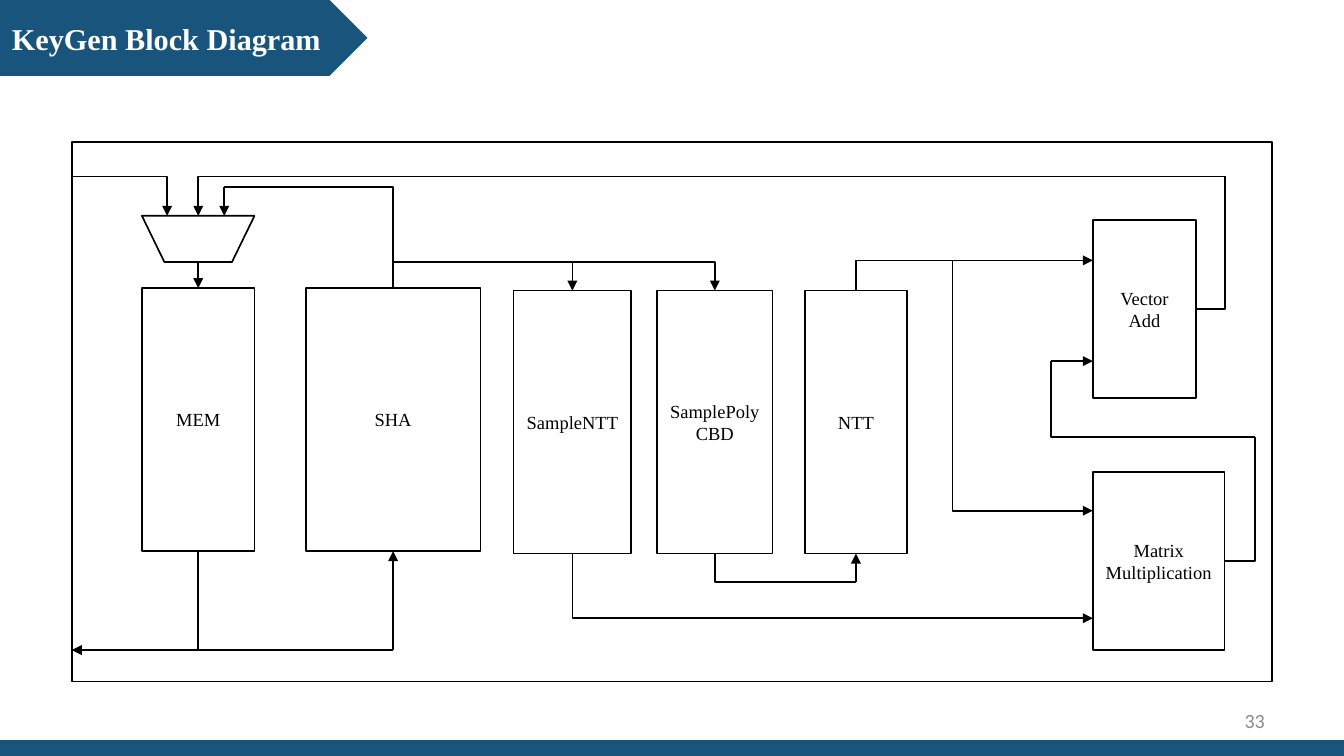
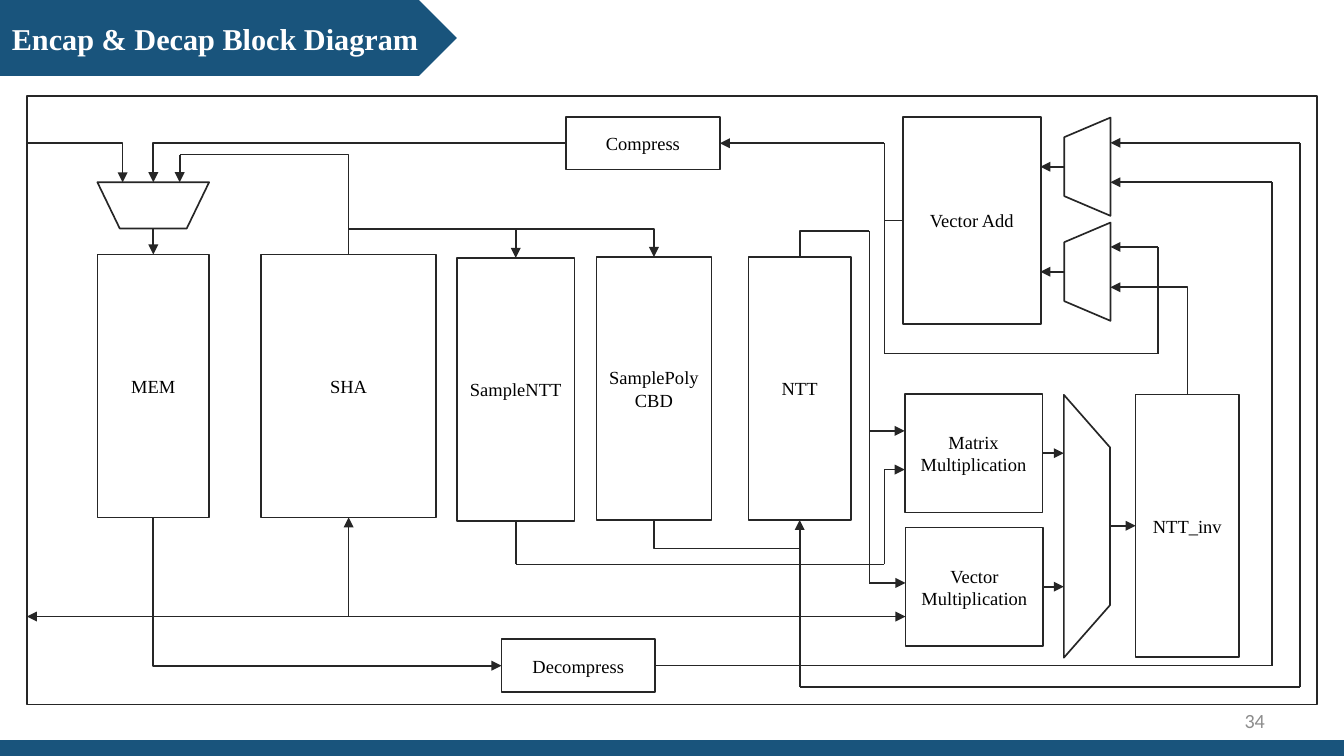
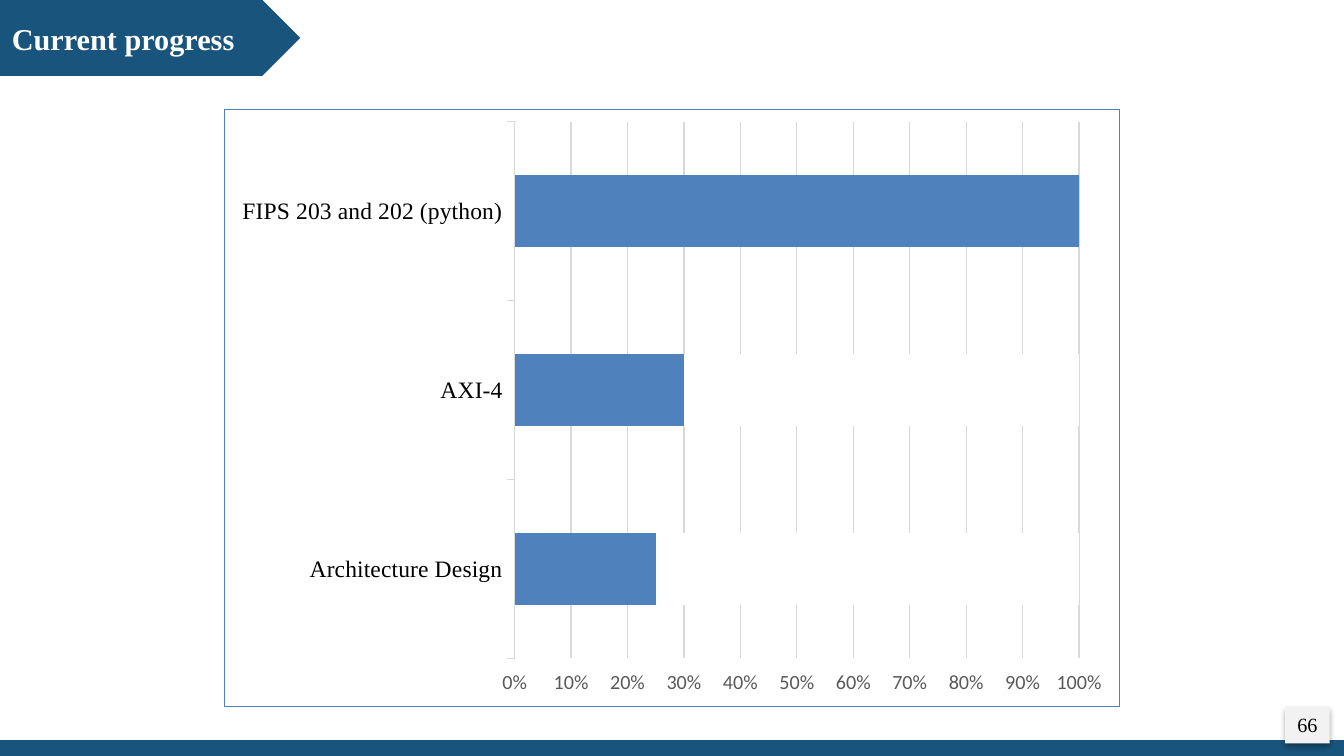
import dataclasses

import lxml.etree
import pptx
import pptx.chart.data
import pptx.dml.color
import pptx.enum.chart
import pptx.enum.shapes
import pptx.enum.text
import pptx.oxml.ns
import pptx.util

Pt = pptx.util.Pt
qn = pptx.oxml.ns.qn
SHAPES = pptx.enum.shapes.MSO_SHAPE
CONNECTORS = pptx.enum.shapes.MSO_CONNECTOR
ALIGN = pptx.enum.text.PP_ALIGN
ANCHOR = pptx.enum.text.MSO_ANCHOR
TOP, LEFT, BOTTOM, RIGHT = range(4)


@dataclasses.dataclass(frozen=True)
class Theme:
    navy: str = "19547C"
    white: str = "FFFFFF"
    black: str = "000000"
    charcoal: str = "262626"
    page_grey: str = "8C8C8C"
    badge: str = "F2F2F2"
    axis_text: str = "595959"
    grid: str = "D9D9D9"
    bar: str = "4F81BD"
    spare: str = "9BBB59"
    serif: str = "Times New Roman"
    sans: str = "Calibri"
    title: int = 18
    category: int = 14
    page: int = 12
    label: int = 11
    chart: int = 10


THEME = Theme()
WIDTH, HEIGHT = 800, 450
BAND_TOP, TITLE_HEIGHT = 440.5, 45.25
TALL = 156.5

KEYGEN = {
    "title": ("KeyGen Block Diagram", 218.75),
    "page": "33",
    "ink": THEME.black,
    "frame": (42.75, 84.5, 714.5, 321.25),
    "blocks": {
        "MEM": (84.5, 171.5, 67, TALL),
        "SHA": (182, 171.5, 104, TALL),
        "SampleNTT": (305.75, 173, 70, TALL),
        "SamplePolyCBD": (391.25, 173, 68.5, TALL),
        "NTT": (479, 173, 61, TALL),
        "Vector Add": (650.5, 131, 61.5, 106),
        "Matrix Multiplication": (650.5, 281, 78.5, 106),
    },
    "muxes": {"memory mux": (84.5, 128.5, 67, 27.5, 0)},
    "bent": [
        ((42.75, 105), "h", [99.5, 128.5], None, True),
        (("memory mux", BOTTOM), "v", [], ("MEM", TOP), True),
        (("MEM", BOTTOM), "v", [387], ("SHA", BOTTOM), True),
        (("MEM", BOTTOM), "v", [387, 42.75], None, True),
        (("SHA", TOP), "v", [111.5, 133.5, 128.5], None, True),
        ((234, 156), "h", [340.75], None, False),
        ((340.75, 156), "h", [], ("SamplePolyCBD", TOP), True),
        ((340.75, 156), "v", [], ("SampleNTT", TOP), True),
        (("SamplePolyCBD", BOTTOM), "v", [346.5], ("NTT", BOTTOM), True),
        (("NTT", TOP), "v", [155, 567], None, False),
        ((567, 155), "h", [650.5], None, True),
        ((567, 155), "v", [304, 650.5], None, True),
        (("SampleNTT", BOTTOM), "v", [368, 650.5], None, True),
        (("Matrix Multiplication", RIGHT), "h", [747, 260, 625.5, 215, 650.5], None, True),
        (("Vector Add", RIGHT), "h", [729, 105], ("memory mux", TOP), True),
    ],
    "straight": [],
}

ENCAP = {
    "title": ("Encap & Decap Block Diagram", 272),
    "page": "34",
    "ink": THEME.charcoal,
    "frame": (16, 57, 768, 362.5),
    "blocks": {
        "MEM": (58, 151.5, 66.5, TALL),
        "SHA": (155.5, 151.5, 104, TALL),
        "SampleNTT": (272, 153.5, 70, TALL),
        "SamplePolyCBD": (355, 153, 68.5, TALL),
        "NTT": (445.5, 153, 61, TALL),
        "Vector Add": (537.5, 69.5, 82, 123.5),
        "Matrix Multiplication": (538.5, 234.5, 82, 70.5),
        "Vector Multiplication": (539, 314, 82, 70.5),
        "NTT_inv": (676, 234.75, 61.5, TALL),
        "Compress": (337, 69.5, 91.5, 31.5),
        "Decompress": (298.5, 380.5, 91.5, 31.5),
    },
    "muxes": {
        "memory mux": (58, 108.5, 66.5, 27.5, 0),
        "first operand": (618, 85.5, 58.5, 27.5, 90),
        "second operand": (618, 148, 58.5, 27.5, 90),
        "product mux": (568.75, 299.5, TALL, 27.5, 270),
    },
    "bent": [
        ((16, 85), "h", [73, 108.5], None, True),
        (("memory mux", BOTTOM), "v", [], ("MEM", TOP), True),
        (("MEM", BOTTOM), "v", [], ("Decompress", LEFT), True),
        (("MEM", BOTTOM), "v", [367], ("SHA", BOTTOM), True),
        (("MEM", BOTTOM), "v", [367, 16], None, True),
        (("SHA", TOP), "v", [92, 107, 108.5], None, True),
        ((207.5, 136.5), "h", [307], None, False),
        ((307, 136.5), "h", [], ("SamplePolyCBD", TOP), True),
        (("SamplePolyCBD", BOTTOM), "v", [326.5], ("NTT", BOTTOM), True),
        (("NTT", TOP), "v", [137.5, 517.5], None, False),
        (("Compress", LEFT), "h", [], ("memory mux", TOP), True),
        (("NTT_inv", TOP), "v", [171, 676], None, False),
    ],
    "straight": [
        ((207.5, 367), "h", [539], None, True),
        ((307, 136.5), "v", [], ("SampleNTT", TOP), True),
        (("SampleNTT", BOTTOM), "v", [336, 526.5, 279.5, 538.5], None, True),
        ((517.5, 137.5), "v", [347, 539], None, True),
        ((517.5, 256.5), "h", [538.5], None, True),
        (("Vector Add", LEFT), "h", [526.5], ("Compress", RIGHT), True),
        ((526.5, 131.25), "v", [210.5, 689.25, 147, 661], None, True),
        (("Matrix Multiplication", RIGHT), "h", [633.25], None, True),
        (("Vector Multiplication", RIGHT), "h", [633.25], None, True),
        ((661, 313), "h", [], ("NTT_inv", LEFT), True),
        ((676, 171), "h", [661], None, True),
        (("Decompress", RIGHT), "h", [757, 108.5, 661], None, True),
        ((476, 326.5), "v", [409, 774, 85, 661], None, True),
        ((633.5, 99.25), "h", [619.25], None, True),
        ((633.5, 161.75), "h", [619.25], None, True),
    ],
}

PROGRESS = {
    "title": ("Current progress", 178.75),
    "page": "66",
    "frame": (133.25, 65, 533.5, 355.75),
    "stages": ["Architecture Design", "AXI-4", "FIPS 203 and 202 (python)"],
    "series": [
        ("Series 1", [25, 30, 100], THEME.bar),
        ("Series 2", [75, 70, 0], THEME.white),
        ("Series 3", [None, None, None], THEME.spare),
    ],
}


def rgb(value):
    return pptx.dml.color.RGBColor.from_string(value)


def style_font(font, size, color, face, bold=False):
    font.size, font.name, font.bold = Pt(size), face, bold
    font.color.rgb = rgb(color)


def put_text(shape, text, size=THEME.label, color=THEME.black, face=THEME.serif,
             bold=False, align=ALIGN.CENTER, anchor=ANCHOR.MIDDLE, wrap=True):
    frame = shape.text_frame
    frame.word_wrap, frame.vertical_anchor = wrap, anchor
    paragraph = frame.paragraphs[0]
    paragraph.alignment = align
    run = paragraph.add_run()
    run.text = text
    style_font(run.font, size, color, face, bold)


def put_shape(slide, kind, box, fill=None, line=None, turn=0):
    shape = slide.shapes.add_shape(kind, *map(Pt, box))
    shape.shadow.inherit = False
    shape.rotation = turn
    if fill:
        shape.fill.solid()
        shape.fill.fore_color.rgb = rgb(fill)
    else:
        shape.fill.background()
    if line:
        shape.line.color.rgb = rgb(line)
        shape.line.width = Pt(1)
    else:
        shape.line.fill.background()
    return shape


def start_slide(deck, content):
    slide = deck.slides.add_slide(deck.slide_layouts[6])
    put_shape(slide, SHAPES.RECTANGLE, (0, BAND_TOP, WIDTH, HEIGHT - BAND_TOP), THEME.navy)
    title, width = content["title"]
    banner = put_shape(slide, SHAPES.PENTAGON, (0, 0, width, TITLE_HEIGHT), THEME.navy)
    put_text(banner, title, size=THEME.title, color=THEME.white, bold=True, align=ALIGN.LEFT)
    return slide


def side_middle(box, side):
    x, y, width, height = box[:4]
    return {
        TOP: (x + width / 2, y),
        LEFT: (x, y + height / 2),
        BOTTOM: (x + width / 2, y + height),
        RIGHT: (x + width, y + height / 2),
    }[side]


def route_points(start, axis, stops, finish):
    points = [start]
    x, y = start
    for stop in stops:
        x, y = (stop, y) if axis == "h" else (x, stop)
        axis = "v" if axis == "h" else "h"
        points.append((x, y))
    if finish:
        corner = (finish[0], y) if axis == "h" else (x, finish[1])
        if max(abs(corner[0] - finish[0]), abs(corner[1] - finish[1])) > 0.5:
            points.append(corner)
        points.append(finish)
    return points


def put_line(slide, kind, start, finish, ink, end=None):
    line = slide.shapes.add_connector(kind, *map(Pt, start + finish))
    line.line.color.rgb = rgb(ink)
    line.line.width = Pt(1)
    properties = line.element.spPr
    if end:
        lxml.etree.SubElement(properties.find(qn("a:ln")), qn(end), type="triangle")
    lxml.etree.SubElement(properties, qn("a:effectLst"))
    return line


def put_corner(slide, start, corner, finish, ink, arrow):
    end = "a:tailEnd" if arrow else None
    if corner[1] != start[1]:
        start, finish = finish, start
        end = "a:headEnd" if arrow else None
    elbow = put_line(slide, CONNECTORS.ELBOW, start, finish, ink, end)
    properties = elbow.element.spPr
    properties.find(qn("a:prstGeom")).set("prst", "bentConnector2")
    if finish[0] < start[0]:
        placing = properties.find(qn("a:xfrm"))
        placing.set("rot", "10800000")
        placing.set("flipH", "0")
        placing.set("flipV", "1" if finish[1] > start[1] else "0")


def put_route(slide, route, boxes, drawn, ink, bent):
    start, axis, stops, finish, arrow = route
    source = start if start[0] in boxes else None
    begin = side_middle(boxes[source[0]], source[1]) if source else start
    target = side_middle(boxes[finish[0]], finish[1]) if finish else None
    points = route_points(begin, axis, stops, target)
    last = len(points) - 1
    index = 0
    while index < last:
        step = 2 if bent and index + 2 <= last else 1
        reached = index + step == last
        if step == 2:
            put_corner(slide, *points[index:index + 3], ink, arrow and reached)
        else:
            line = put_line(slide, CONNECTORS.STRAIGHT, points[index], points[index + 1], ink,
                            "a:tailEnd" if arrow and reached else None)
            if index == 0 and source:
                line.begin_connect(drawn[source[0]], source[1])
            if reached and finish:
                line.end_connect(drawn[finish[0]], finish[1])
        index += step


def diagram_slide(deck, content):
    slide = start_slide(deck, content)
    ink = content["ink"]
    put_shape(slide, SHAPES.RECTANGLE, content["frame"], line=ink)
    drawn = {}
    for label, box in content["blocks"].items():
        drawn[label] = put_shape(slide, SHAPES.RECTANGLE, box, line=ink)
        put_text(drawn[label], label)
    for role, (*box, turn) in content["muxes"].items():
        drawn[role] = put_shape(slide, SHAPES.FLOWCHART_MANUAL_OPERATION, box, line=ink, turn=turn)
    boxes = content["blocks"] | content["muxes"]
    for style in ("bent", "straight"):
        for route in content[style]:
            put_route(slide, route, boxes, drawn, ink, style == "bent")
    page = slide.shapes.add_textbox(*map(Pt, (573, 417, 187, 24)))
    put_text(page, content["page"], size=THEME.page, color=THEME.page_grey,
             face=THEME.sans, align=ALIGN.RIGHT)


def put_badge(slide, number):
    badge = put_shape(slide, SHAPES.RECTANGLE, (765, 420.5, 26.5, 22), THEME.badge)
    put_text(badge, number, size=THEME.page, wrap=False)
    effects = badge.element.spPr.find(qn("a:effectLst"))
    shadow = lxml.etree.SubElement(
        effects, qn("a:outerShdw"), blurRad=str(Pt(3.5)), dist=str(Pt(2.2)),
        dir="5400000", rotWithShape="0")
    tint = lxml.etree.SubElement(shadow, qn("a:srgbClr"), val=THEME.black)
    lxml.etree.SubElement(tint, qn("a:alpha"), val="32000")


def put_border(chart, color):
    area = lxml.etree.Element(qn("c:spPr"))
    lxml.etree.SubElement(area, qn("a:noFill"))
    outline = lxml.etree.SubElement(area, qn("a:ln"), w=str(Pt(0.75)))
    paint = lxml.etree.SubElement(outline, qn("a:solidFill"))
    lxml.etree.SubElement(paint, qn("a:srgbClr"), val=color)
    chart.element.find(qn("c:chart")).addnext(area)


def style_line(line, color):
    line.color.rgb = rgb(color)
    line.width = Pt(0.75)


def progress_slide(deck, content):
    slide = start_slide(deck, content)
    data = pptx.chart.data.CategoryChartData()
    data.categories = content["stages"]
    for name, values, _ in content["series"]:
        data.add_series(name, values)
    chart = slide.shapes.add_chart(
        pptx.enum.chart.XL_CHART_TYPE.BAR_STACKED_100, *map(Pt, content["frame"]), data).chart
    chart.has_title = chart.has_legend = False
    style_font(chart.font, THEME.chart, THEME.black, THEME.sans)
    put_border(chart, THEME.bar)
    bars = chart.plots[0]
    bars.gap_width, bars.overlap, bars.vary_by_categories = 150, 100, False
    for series, (_, _, color) in zip(bars.series, content["series"]):
        series.format.fill.solid()
        series.format.fill.fore_color.rgb = rgb(color)
    stages, share = chart.category_axis, chart.value_axis
    for axis in (stages, share):
        axis.major_tick_mark = pptx.enum.chart.XL_TICK_MARK.OUTSIDE
        axis.minor_tick_mark = pptx.enum.chart.XL_TICK_MARK.NONE
    style_font(stages.tick_labels.font, THEME.category, THEME.black, THEME.serif)
    style_line(stages.format.line, THEME.grid)
    stages.has_major_gridlines = False
    style_font(share.tick_labels.font, THEME.page, THEME.axis_text, THEME.sans)
    share.tick_labels.number_format = "0%"
    share.tick_labels.number_format_is_linked = False
    share.format.line.fill.background()
    share.has_major_gridlines = True
    style_line(share.major_gridlines.format.line, THEME.grid)
    put_badge(slide, content["page"])


def main():
    deck = pptx.Presentation()
    deck.slide_width, deck.slide_height = Pt(WIDTH), Pt(HEIGHT)
    diagram_slide(deck, KEYGEN)
    diagram_slide(deck, ENCAP)
    progress_slide(deck, PROGRESS)
    deck.save("out.pptx")


if __name__ == "__main__":
    main()
